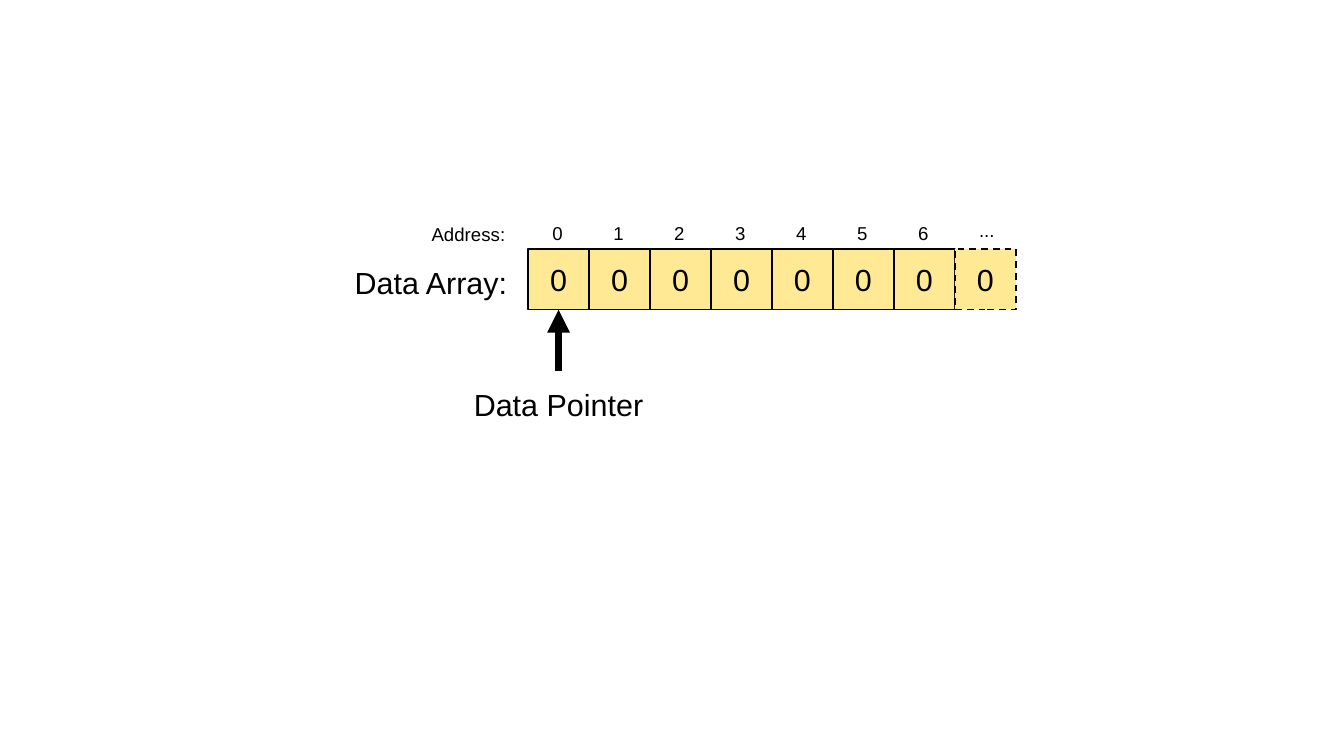
from dataclasses import dataclass

from lxml import etree
from pptx import Presentation
from pptx import util as u
from pptx.dml.color import RGBColor
from pptx.enum import dml, shapes, text
from pptx.oxml.ns import qn

COLORS = {"ink": "000000", "cell": "FFE994"}
FONT = "Arial"
CELL_SIZE = 0.5
ARRAY_LEFT, ARRAY_TOP = 4.33, 2.04
ADDRESSES = ["0", "1", "2", "3", "4", "5", "6", "..."]
LAST = len(ADDRESSES) - 1


@dataclass
class Label:
    words: str
    left: float
    top: float
    width: float
    height: float
    size: int = 18
    align: text.PP_ALIGN = text.PP_ALIGN.LEFT
    wrap: bool = True


def color(name: str) -> RGBColor:
    return RGBColor.from_string(COLORS[name])


def write(shape, words: str, size: int, align: text.PP_ALIGN, frame_format: dict) -> None:
    frame = shape.text_frame
    for name, value in frame_format.items():
        setattr(frame, name, value)
    paragraph = frame.paragraphs[0]
    paragraph.alignment = align
    run = paragraph.add_run()
    run.text = words
    for name, value in {"name": FONT, "size": u.Pt(size)}.items():
        setattr(run.font, name, value)
    run.font.color.rgb = color("ink")


def add_label(slide, label: Label) -> None:
    box = slide.shapes.add_textbox(
        u.Inches(label.left), u.Inches(label.top), u.Inches(label.width), u.Inches(label.height)
    )
    frame_format = {"word_wrap": label.wrap, "auto_size": text.MSO_AUTO_SIZE.SHAPE_TO_FIT_TEXT}
    write(box, label.words, label.size, label.align, frame_format)


def add_cell(slide, index: int):
    cell = slide.shapes.add_shape(
        shapes.MSO_SHAPE.RECTANGLE,
        u.Inches(ARRAY_LEFT + index * CELL_SIZE),
        u.Inches(ARRAY_TOP),
        u.Inches(CELL_SIZE),
        u.Inches(CELL_SIZE),
    )
    cell.shadow.inherit = False
    cell.fill.solid()
    cell.fill.fore_color.rgb = color("cell")
    cell.line.color.rgb = color("ink")
    cell.line.width = u.Pt(1)
    if index == LAST:
        cell.line.dash_style = dml.MSO_LINE.DASH
    frame_format = {
        "margin_left": u.Inches(0.11),
        "margin_right": u.Inches(0.11),
        "margin_top": u.Inches(0.06),
        "margin_bottom": u.Inches(0.06),
        "vertical_anchor": text.MSO_ANCHOR.MIDDLE,
    }
    write(cell, "0", 18, text.PP_ALIGN.CENTER, frame_format)
    return cell


def add_pointer(slide, cell) -> None:
    center = cell.left + cell.width // 2
    bottom = cell.top + cell.height
    arrow = slide.shapes.add_connector(
        shapes.MSO_CONNECTOR.STRAIGHT, center, bottom + u.Inches(0.5), center, bottom
    )
    arrow.end_connect(cell, 2)
    arrow.line.color.rgb = color("ink")
    arrow.line.width = u.Pt(4.5)
    etree.SubElement(arrow.line._get_or_add_ln(), qn("a:tailEnd"), type="triangle")
    etree.SubElement(arrow._element.spPr, qn("a:effectLst"))


def address_label(index: int, address: str) -> Label:
    width = 0.33 if index == LAST else 0.28
    top = 1.75 if index == LAST else 1.77
    left = ARRAY_LEFT + 0.1 + index * CELL_SIZE
    return Label(address, left, top, width, 0.27, size=11, wrap=False)


def main() -> None:
    presentation = Presentation()
    presentation.slide_width = u.Inches(11.02)
    presentation.slide_height = u.Inches(6.2)
    slide = presentation.slides.add_slide(presentation.slide_layouts[6])

    # Data array, with a dashed cell for the open end
    cells = [add_cell(slide, index) for index in range(len(ADDRESSES))]

    # Data pointer
    add_pointer(slide, cells[0])

    # Captions and addresses
    captions = [
        Label("Data Array:", 2.81, 2.12, 1.52, 0.38),
        Label("Data Pointer", 3.58, 3.12, 2, 0.38, align=text.PP_ALIGN.CENTER),
        Label("Address:", 3.44, 1.78, 0.92, 0.44, size=11),
    ]
    addresses = [address_label(index, address) for index, address in enumerate(ADDRESSES)]
    for label in captions + addresses:
        add_label(slide, label)

    presentation.save("out.pptx")


if __name__ == "__main__":
    main()
